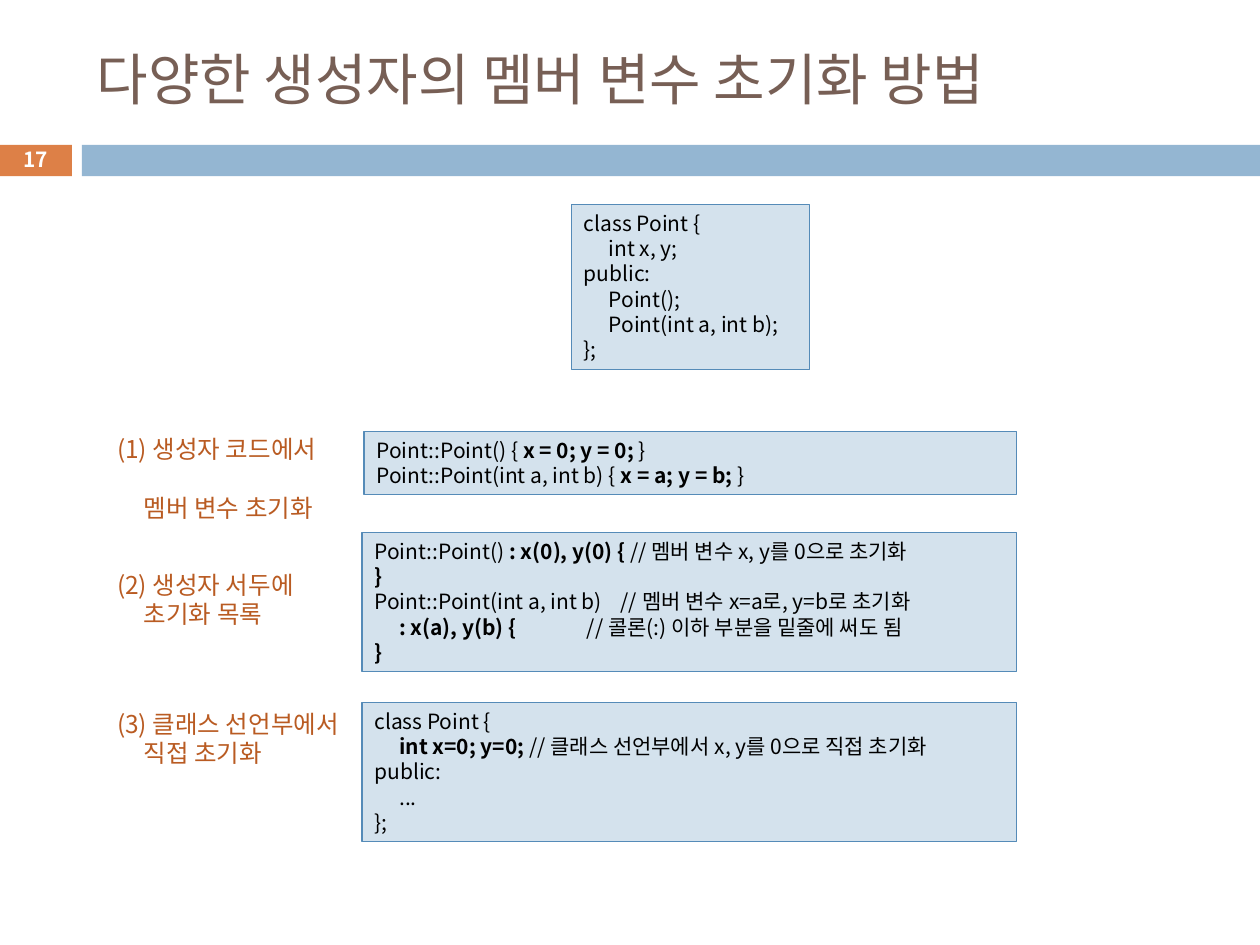
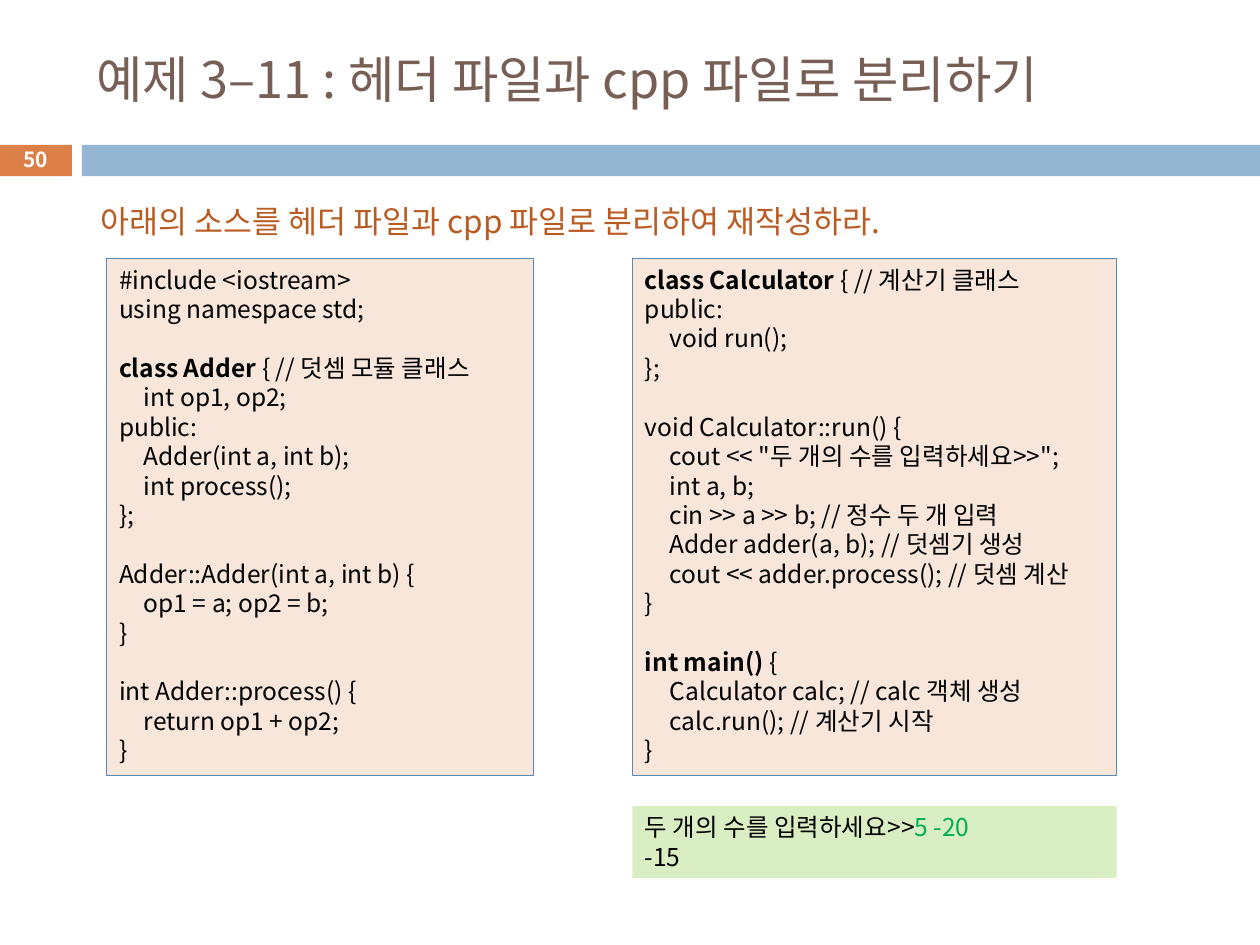
from pptx import Presentation
from pptx import util as u
from pptx.dml import color as dml
from pptx.enum import shapes, text
from pptx.oxml import ns
from lxml import etree

FACE = "Noto Sans CJK KR"
WHITE, BLACK = "FFFFFF", "000000"
BROWN, RUST, GREEN = "775F55", "B95B22", "00B050"
ORANGE, BLUE, EDGE = "DD8047", "94B6D2", "558BB8"
PALE, PEACH, LIME = "D4E2ED", "F8E6DA", "DAEEC4"
STRONG = {"bold": True}

POINT = """class Point {
\tint x, y;
public:
\tPoint();
\tPoint(int a, int b);
};"""

BODY = """Point::Point() { **x = 0; y = 0; **}
Point::Point(int a, int b) { **x = a; y = b; **}"""

LIST = """Point::Point()** : x(0), y(0) {** // 멤버 변수 x, y를 0으로 초기화
**}**
Point::Point(int a, int b)    // 멤버 변수 x=a로, y=b로 초기화
\t**: x(a), y(b) {** \t\t\t   // 콜론(:) 이하 부분을 밑줄에 써도 됨
**}**"""

DIRECT = """class Point {
\t**int x=0; y=0; **// 클래스 선언부에서 x, y를 0으로 직접 초기화
public:
\t...
};"""

ADDER = """#include <iostream>
using namespace std;

**class Adder **{ // 덧셈 모듈 클래스
\tint op1, op2;
public:
\tAdder(int a, int b);
\tint process();
};

Adder::Adder(int a, int b) {
\top1 = a; op2 = b;
}

int Adder::process() {
\treturn op1 + op2;
}"""

CALC = """**class Calculator **{ // 계산기 클래스
public:
\tvoid run();
};

void Calculator::run() {
\tcout << "두 개의 수를 입력하세요>>";
\tint a, b;
\tcin >> a >> b; // 정수 두 개 입력
\tAdder adder(a, b); // 덧셈기 생성
\tcout << adder.process(); // 덧셈 계산
}

**int main() **{
\tCalculator calc; // calc 객체 생성
\tcalc.run(); // 계산기 시작
}"""

OUTPUT = """두 개의 수를 입력하세요>>**5 -20**
-15"""


def paint(target, tone):
    target.rgb = dml.RGBColor.from_string(tone)


def place(box):
    return [u.Cm(side) for side in box]


def block(slide, box, fill, edge=None):
    shape = slide.shapes.add_shape(shapes.MSO_SHAPE.RECTANGLE, *place(box))
    shape.shadow.inherit = False
    shape.fill.solid()
    paint(shape.fill.fore_color, fill)
    if edge:
        paint(shape.line.color, edge)
        shape.line.width = u.Pt(0.75)
    else:
        shape.line.fill.background()
    return shape


def add_stops(para):
    stops = etree.SubElement(para._p.get_or_add_pPr(), ns.qn("a:tabLst"))
    for step in range(1, 13):
        etree.SubElement(stops, ns.qn("a:tab"), pos=str(u.Cm(0.5 * step)), algn="l")


def add_run(para, words, tone, form):
    run = para.add_run()
    run.text = words
    for key, value in form.items():
        setattr(run.font, key, value)
    paint(run.font.color, tone)
    etree.SubElement(run._r.get_or_add_rPr(), ns.qn("a:ea"), typeface=FACE)


def write(shape, words, size, tone, mark=STRONG, accent=None, hang=0,
          align=text.PP_ALIGN.LEFT, anchor=text.MSO_ANCHOR.TOP):
    frame = shape.text_frame
    frame.word_wrap = True
    frame.vertical_anchor = anchor
    para, gap = None, 0
    for line in words.split("\n"):
        if not line:
            gap += 1.2 * size
            continue
        first = para is None
        para = frame.paragraphs[0] if first else frame.add_paragraph()
        if "\t" in line:
            add_stops(para)
        form = {"alignment": align, "line_spacing": u.Pt(1.2 * size)}
        if gap:
            form["space_before"] = u.Pt(gap)
        for key, value in form.items():
            setattr(para, key, value)
        if hang and not first:
            para._p.get_or_add_pPr().set("marL", str(u.Cm(hang)))
        gap = 0
        for turn, part in enumerate(line.split("**")):
            if part:
                base = {"name": FACE, "size": u.Pt(size), "bold": False}
                hot = turn % 2
                add_run(para, part, accent if hot and accent else tone,
                        base | (mark if hot else {}))


def label(slide, box, words, size, tone, **form):
    write(slide.shapes.add_textbox(*place(box)), words, size, tone, **form)


def code(slide, box, words, size, fill):
    write(block(slide, box, fill, EDGE), words, size, BLACK)


def start(deck, title, size, number):
    slide = deck.slides.add_slide(deck.slide_layouts[6])
    block(slide, (0, 2.92, 1.45, 0.63), ORANGE)
    block(slide, (1.65, 2.92, 23.75, 0.63), BLUE)
    mid = text.MSO_ANCHOR.MIDDLE
    label(slide, (1.7, 0.64, 22.66, 1.88), title, size, BROWN, anchor=mid)
    label(slide, (0, 2.87, 1.45, 0.69), f"**{number}**", 11.9, WHITE,
          align=text.PP_ALIGN.CENTER, anchor=mid)
    return slide


def method(slide, box, drop, name, words):
    left, top, width, height = box
    label(slide, (2.11, top + drop, 5.5, 1.45), name, 14, RUST, hang=0.54)
    code(slide, (left, top, width, height), words, 12, PALE)


def init_slide(deck):
    slide = start(deck, "다양한 생성자의 멤버 변수 초기화 방법", 32, 17)
    code(slide, (11.52, 4.12, 4.8, 3.33), POINT, 12, PALE)
    method(slide, (7.34, 8.7, 13.16, 1.27), -0.08,
           "(1) 생성자 코드에서\n\n멤버 변수 초기화", BODY)
    method(slide, (7.3, 10.73, 13.2, 2.81), 0.63,
           "(2) 생성자 서두에\n초기화 목록", LIST)
    method(slide, (7.3, 14.16, 13.2, 2.81), 0,
           "(3) 클래스 선언부에서\n직접 초기화", DIRECT)


def split_slide(deck):
    slide = start(deck, "예제 3–11 : 헤더 파일과 cpp 파일로 분리하기", 28.8, 50)
    label(slide, (1.78, 3.94, 17.9, 1.02),
          "아래의 소스를 헤더 파일과 cpp 파일로 분리하여 재작성하라.", 18, RUST)
    top, height, right, width = 5.21, 10.43, 12.75, 9.76
    code(slide, (2.15, top, 8.6, height), ADDER, 14, PEACH)
    code(slide, (right, top, width, height), CALC, 14, PEACH)
    screen = block(slide, (right, top + height + 0.61, width, 1.45), LIME)
    write(screen, OUTPUT, 14, BLACK, mark={}, accent=GREEN)


def main():
    deck = Presentation()
    deck.slide_width, deck.slide_height = u.Cm(25.4), u.Cm(19.05)
    init_slide(deck)
    split_slide(deck)
    deck.save("out.pptx")


if __name__ == "__main__":
    main()
